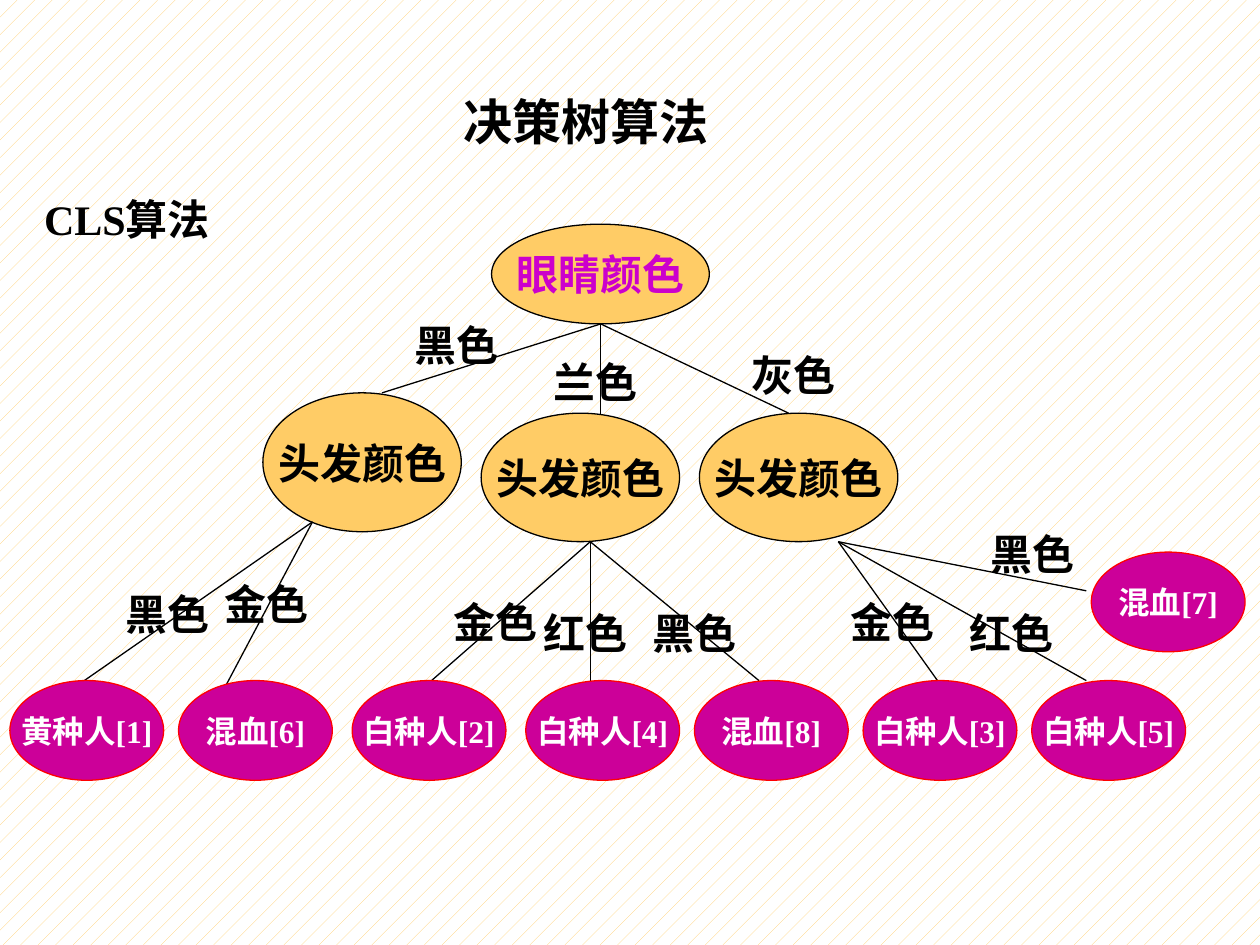
from lxml.etree import SubElement
from pptx import Presentation
from pptx.dml.color import RGBColor
from pptx.enum.dml import MSO_PATTERN
from pptx.enum.shapes import MSO_CONNECTOR, MSO_SHAPE
from pptx.enum.text import MSO_ANCHOR, MSO_AUTO_SIZE, PP_ALIGN
from pptx.oxml.ns import qn
from pptx.util import Cm, Pt

LEAF_W, LEAF_H = 3.1, 2.01


def rgb(value):
    return RGBColor.from_string(value)


def write(tf, text, size=24, color="000000", align=PP_ALIGN.LEFT, wrap=False):
    tf.word_wrap = wrap
    p = tf.paragraphs[0]
    p.alignment = align
    r = p.add_run()
    r.text = text
    r.font.name = "Times New Roman"
    r.font.size = Pt(size)
    r.font.bold = True
    r.font.color.rgb = rgb(color)


def add_text(s, box, text, **fmt):
    tf = s.shapes.add_textbox(*map(Cm, box)).text_frame
    tf.auto_size = MSO_AUTO_SIZE.SHAPE_TO_FIT_TEXT
    write(tf, text, **fmt)


def add_oval(s, box, text, fill="FFCC66", line="000000", **fmt):
    sp = s.shapes.add_shape(MSO_SHAPE.OVAL, *map(Cm, box))
    sp.shadow.inherit = False
    sp.fill.solid()
    sp.fill.fore_color.rgb = rgb(fill)
    sp.line.color.rgb = rgb(line)
    sp.line.width = Pt(0.75)
    sp.text_frame.vertical_anchor = MSO_ANCHOR.MIDDLE
    write(sp.text_frame, text, align=PP_ALIGN.CENTER, **fmt)


def add_line(s, start, end):
    c = s.shapes.add_connector(MSO_CONNECTOR.STRAIGHT, *map(Cm, (*start, *end)))
    c.line.color.rgb = rgb("000000")
    c.line.width = Pt(0.75)
    SubElement(c._element.spPr, qn("a:effectLst"))


def add_tree(s, box, text, apex, branches, color="000000"):
    left, top = box[:2]

    def place(offset):
        return left + offset[0], top + offset[1]

    add_oval(s, box, text, color=color)
    for _, _, end, *_ in branches:
        add_line(s, place(apex), place(end))
    for label, label_at, _, *leaf in branches:
        if leaf:
            name, leaf_at = leaf
            add_oval(s, (*place(leaf_at), LEAF_W, LEAF_H), name,
                     fill="CC0099", line="FF0000", size=18, color="FFFFFF")
        add_text(s, (*place(label_at), 2.21, 1.27), label)


def add_heading(s, box):
    left, top, width, height = box
    add_text(s, (left + 8.46, top, 5.46, 1.45), "决策树算法", size=28)
    add_text(s, (left, top + 2.05, 3.86, 1.27), "CLS算法", wrap=True)


def main():
    prs = Presentation()
    prs.slide_width, prs.slide_height = Cm(25.4), Cm(19.05)
    s = prs.slides.add_slide(prs.slide_layouts[6])
    bg = s.background.fill
    bg.patterned()
    bg.pattern = MSO_PATTERN.PERCENT_5
    bg.fore_color.rgb = rgb("FFCC66")
    bg.back_color.rgb = rgb("FFFFFF")

    add_heading(s, (0.64, 1.73, 13.92, 3.32))
    add_tree(s, (9.91, 4.52, 4.39, 2.01), "眼睛颜色", (2.2, 2.01), [
        ("黑色", (-1.81, 1.8), (-2.21, 3.4)),
        ("兰色", (0.99, 2.54), (2.2, 4.01)),
        ("灰色", (5, 2.41), (5.99, 3.81)),
    ], color="CC00CC")
    add_tree(s, (5.3, 7.92, 4, 2.8), "头发颜色", (1, 2.6), [
        ("黑色", (-3.02, 3.81), (-3.6, 5.8), "黄种人[1]", (-5.1, 5.8)),
        ("金色", (-1.02, 3.61), (-0.8, 6), "混血[6]", (-1.7, 5.8)),
    ])
    add_tree(s, (9.7, 8.33, 4, 2.59), "头发颜色", (2.2, 2.59), [
        ("金色", (-0.81, 3.58), (-1, 5.39), "白种人[2]", (-2.6, 5.39)),
        ("红色", (1, 3.79), (2.2, 5.39), "白种人[4]", (0.9, 5.39)),
        ("黑色", (3.2, 3.79), (5.6, 5.39), "混血[8]", (4.3, 5.39)),
    ])
    add_tree(s, (14.1, 8.33, 4, 2.59), "头发颜色", (2.8, 2.59), [
        ("金色", (2.8, 3.58), (4.8, 5.39), "白种人[3]", (3.3, 5.39)),
        ("红色", (5.2, 3.79), (7.8, 5.39), "白种人[5]", (6.7, 5.39)),
        ("黑色", (5.61, 2.19), (7.8, 3.58), "混血[7]", (7.9, 2.8)),
    ])
    prs.save("out.pptx")


if __name__ == "__main__":
    main()
